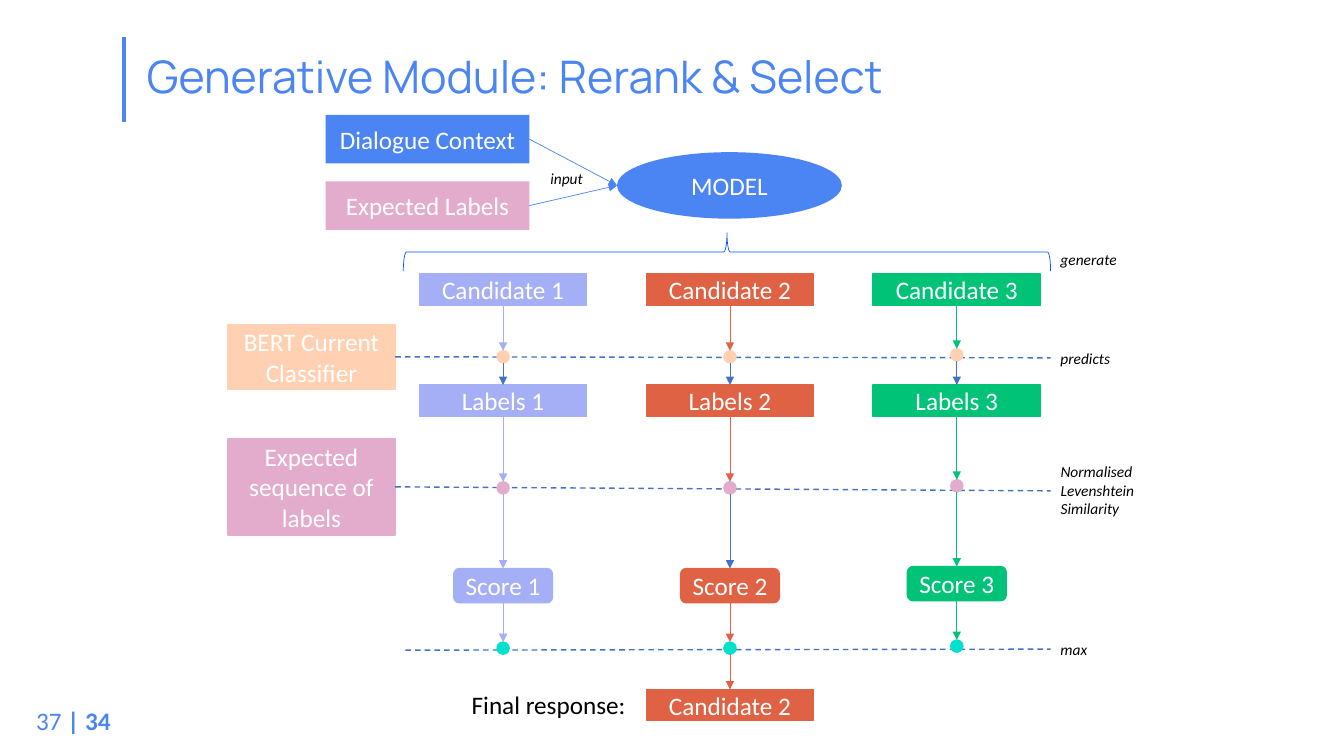
from lxml import etree
from pptx import Presentation
from pptx.dml.color import RGBColor
from pptx.enum import dml, shapes, text
from pptx.oxml import ns
from pptx.util import Inches, Pt

BLUE = RGBColor(0x4B, 0x85, 0xF4)
BRACE_BLUE = RGBColor(0x00, 0x55, 0xFF)
STEEL = RGBColor(0x44, 0x72, 0xC4)
LILAC = RGBColor(0xA5, 0xAF, 0xF5)
RED = RGBColor(0xDF, 0x62, 0x45)
GREEN = RGBColor(0x00, 0xC3, 0x78)
PINK = RGBColor(0xE3, 0xAB, 0xCC)
PEACH = RGBColor(0xFF, 0xD1, 0xB2)
TEAL = RGBColor(0x00, 0xE1, 0xCD)
WHITE = RGBColor(0xFF, 0xFF, 0xFF)
BLACK = RGBColor(0, 0, 0)

KIND = shapes.MSO_SHAPE
BOX_W, BOX_H = 1.66, 0.31
SCORE_W, SCORE_H = 0.98, 0.34
DOT = 0.12


def add_text(slide, left, top, width, height, words, size=18, color=BLACK,
             name="Calibri", italic=False, wrap=False):
    box = slide.shapes.add_textbox(Inches(left), Inches(top), Inches(width), Inches(height))
    box.text_frame.word_wrap = wrap
    paragraph = box.text_frame.paragraphs[0]
    paragraph.text = words
    font = paragraph.font
    font.name, font.size, font.italic = name, Pt(size), italic
    font.color.rgb = color
    return box.text_frame


def add_note(slide, left, top, width, height, words):
    add_text(slide, left, top, width, height, words, size=11, italic=True)


def add_node(slide, kind, left, top, width, height, color, label="", outlined=True):
    """Filled shape with an optional centred white label."""
    node = slide.shapes.add_shape(kind, Inches(left), Inches(top), Inches(width), Inches(height))
    node.shadow.inherit = False
    node.fill.solid()
    node.fill.fore_color.rgb = color
    if outlined:
        node.line.color.rgb = color
        node.line.width = Pt(1)
    else:
        node.line.fill.background()
    if label:
        node.text_frame.vertical_anchor = text.MSO_ANCHOR.MIDDLE
        paragraph = node.text_frame.paragraphs[0]
        paragraph.text = label
        paragraph.alignment = text.PP_ALIGN.CENTER
        paragraph.font.name, paragraph.font.size = "Calibri", Pt(18)
        paragraph.font.color.rgb = WHITE


def add_line(slide, x1, y1, x2, y2, color, width=0.5, dashed=False, arrow=False):
    line = slide.shapes.add_connector(
        shapes.MSO_CONNECTOR.STRAIGHT, Inches(x1), Inches(y1), Inches(x2), Inches(y2))
    line.line.color.rgb = color
    line.line.width = Pt(width)
    if dashed:
        line.line.dash_style = dml.MSO_LINE.DASH
    if arrow:
        etree.SubElement(line.line._get_or_add_ln(), ns.qn("a:tailEnd"), type="triangle")
    etree.SubElement(line._element.spPr, ns.qn("a:effectLst"))


def add_arrow(slide, x1, y1, x2, y2, color):
    add_line(slide, x1, y1, x2, y2, color, arrow=True)


def add_frame(slide):
    """Title with its rule, and the page number."""
    add_line(slide, 1.23, 0.37, 1.23, 1.21, BLUE, width=2.25)
    title = add_text(slide, 1.36, 0.06, 11.5, 1.45, "Generative Module: Rerank & Select",
                     size=32, color=BLUE, name="Manrope", wrap=True)
    title.vertical_anchor = text.MSO_ANCHOR.MIDDLE
    title.paragraphs[0].line_spacing = 0.9
    page = add_text(slide, 0.26, 6.95, 0.99, 0.4, "37\u00a0", color=BLUE)
    total = page.paragraphs[0].add_run()
    total.text = "| 34"
    total.font.bold = True


def add_model_inputs(slide, left, top):
    """Two inputs feeding the model, and the brace over its candidates."""
    width, height = 2.02, 0.48
    model_left, model_middle = left + 2.89, top + 0.7
    for row, (label, color) in enumerate([("Dialogue Context", BLUE), ("Expected Labels", PINK)]):
        y = top + row * 0.66
        add_node(slide, KIND.RECTANGLE, left, y, width, height, color, label, outlined=False)
        add_arrow(slide, left + width, y + height / 2, model_left, model_middle, BLUE)
    add_node(slide, KIND.OVAL, model_left, model_middle - 0.33, 2.23, 0.66, BLUE, "MODEL",
             outlined=False)
    add_note(slide, left + 2.13, top + 0.49, 0.52, 0.29, "input")

    brace = slide.shapes.add_shape(
        KIND.LEFT_BRACE, Inches(left + 3.79), Inches(top - 1.85), Inches(0.38), Inches(6.42))
    brace.rotation = 90
    brace.shadow.inherit = False
    brace.fill.background()
    brace.line.color.rgb = BRACE_BLUE
    brace.line.width = Pt(0.5)
    add_note(slide, left + 7.19, top + 1.29, 0.76, 0.29, "generate")


def add_stages(slide, left, right):
    """Dashed stage lines with the box at their left and the note at their right."""
    for label, color, top, height in [("BERT Current Classifier", PEACH, 3.22, 0.64),
                                      ("Expected sequence of labels", PINK, 4.35, 0.96)]:
        add_node(slide, KIND.RECTANGLE, left, top, BOX_W, height, color, label)
    for start, y1, y2, top, width, height, words in [
            (left + BOX_W, 3.54, 3.55, 3.41, 0.7, 0.29, "predicts"),
            (left + BOX_W, 4.83, 4.87, 4.54, 0.99, 0.66, "Normalised\vLevenshtein\vSimilarity"),
            (left + 1.76, 6.45, 6.44, 6.3, 0.47, 0.29, "max")]:
        add_line(slide, start, y1, right, y2, STEEL, width=1, dashed=True)
        add_note(slide, right, top, width, height, words)


def add_candidate(slide, center, top, number, color, to_score, lift):
    """One column from candidate to score; lift raises its dots and score."""
    labels_top = top + 1.1
    predict, compare, score, best = (top + drop - lift for drop in (0.76, 2.06, 2.92, 3.65))
    for y, label in [(top, "Candidate"), (labels_top, "Labels")]:
        add_node(slide, KIND.RECTANGLE, center - BOX_W / 2, y, BOX_W, BOX_H, color,
                 f"{label} {number}")
    add_node(slide, KIND.ROUNDED_RECTANGLE, center - SCORE_W / 2, score, SCORE_W, SCORE_H,
             color, f"Score {number}")
    for y, dot_color in [(predict, PEACH), (compare, PINK), (best, TEAL)]:
        add_node(slide, KIND.OVAL, center - DOT / 2, y, DOT, DOT, dot_color)
    for start, end, arrow_color in [(top + BOX_H, predict, color),
                                    (predict + DOT, labels_top, STEEL),
                                    (labels_top + BOX_H, compare, color),
                                    (compare + DOT, score, to_score),
                                    (score + SCORE_H, best, color)]:
        add_arrow(slide, center, start, center, end, arrow_color)


def add_final_response(slide, center, top):
    add_arrow(slide, center, top - 0.35, center, top, RED)
    add_node(slide, KIND.RECTANGLE, center - BOX_W / 2, top, BOX_W, BOX_H, RED, "Candidate 2")
    add_text(slide, center - 2.66, top - 0.05, 1.75, 0.4, "Final response:")


def main():
    deck = Presentation()
    deck.slide_width, deck.slide_height = Inches(13.33), Inches(7.5)
    slide = deck.slides.add_slide(deck.slide_layouts[6])
    add_frame(slide)
    add_model_inputs(slide, 3.23, 1.14)
    add_stages(slide, 2.26, 10.42)
    columns = [(LILAC, LILAC, 0), (RED, STEEL, 0), (GREEN, GREEN, 0.02)]
    for index, (color, to_score, lift) in enumerate(columns):
        add_candidate(slide, 4.99 + index * 2.25, 2.72, index + 1, color, to_score, lift)
    add_final_response(slide, 7.24, 6.84)
    deck.save("out.pptx")


if __name__ == "__main__":
    main()
